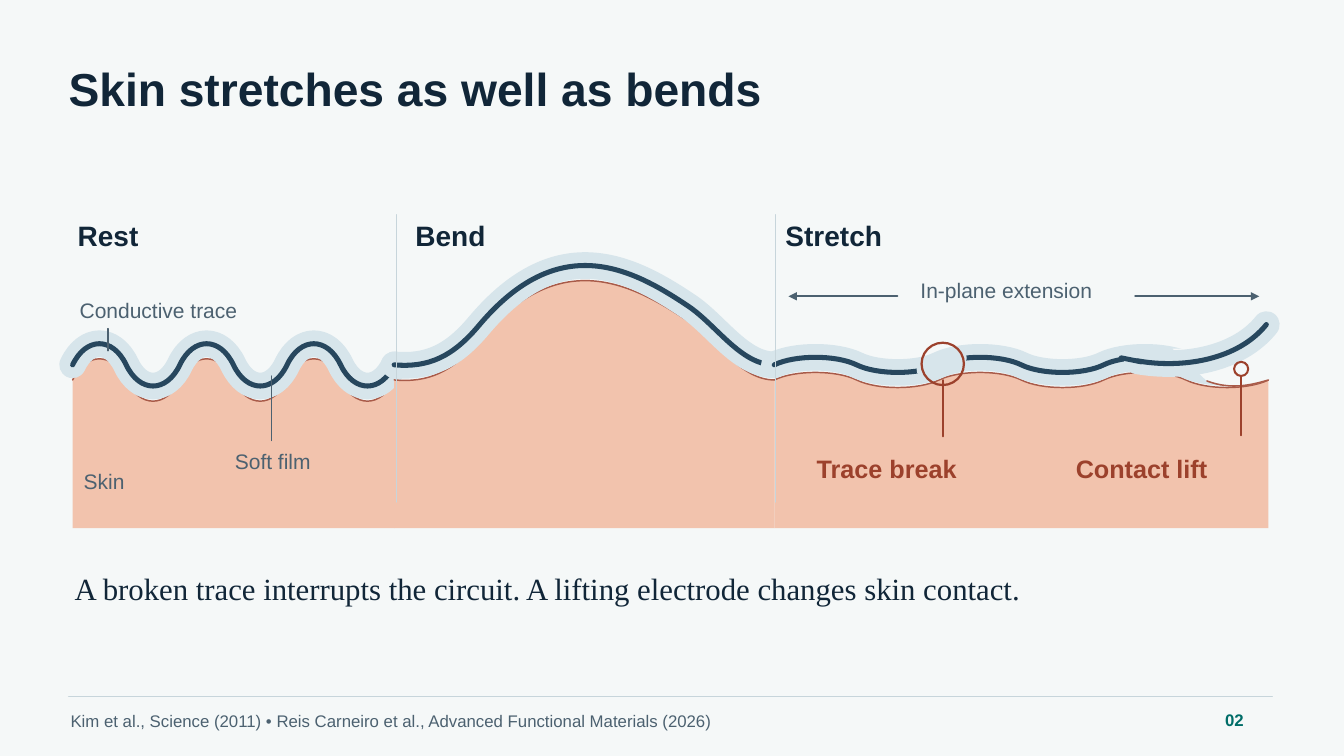
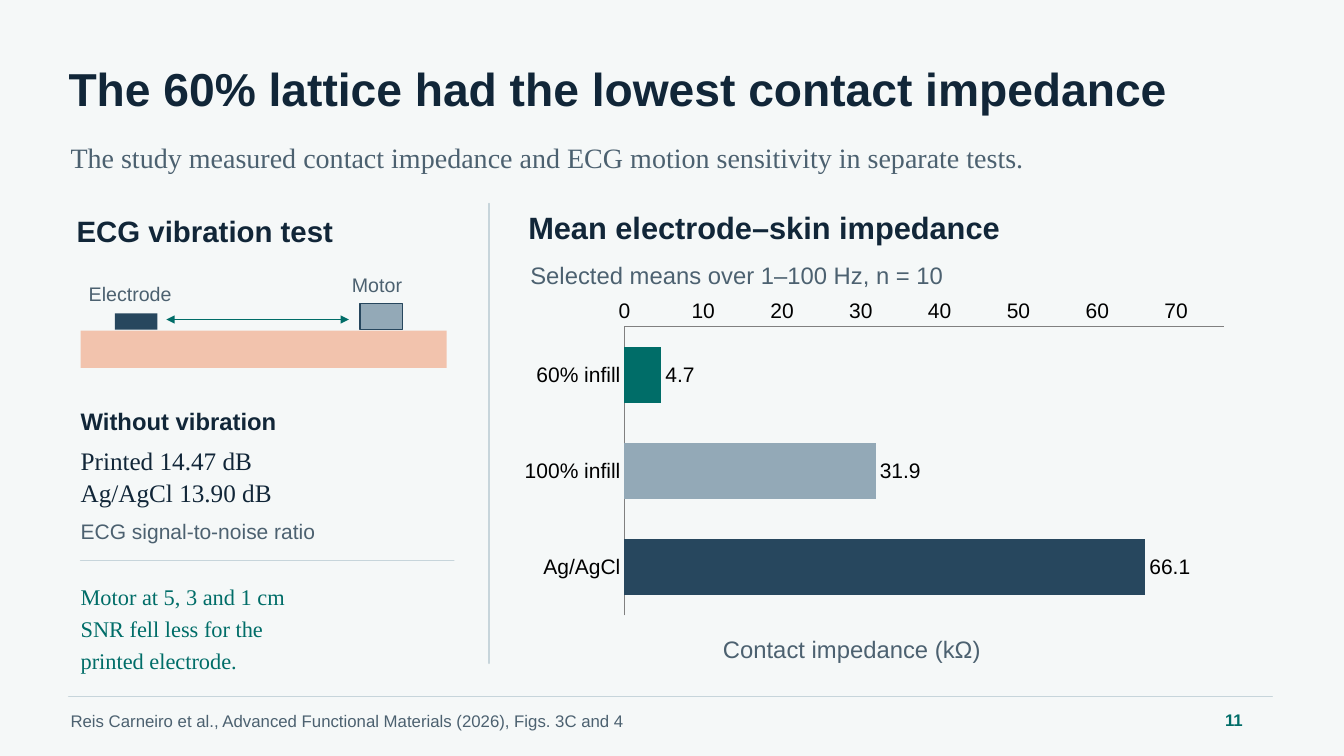
from lxml import etree
from pptx import Presentation
from pptx.chart.data import CategoryChartData
from pptx.dml.color import RGBColor
from pptx.enum.chart import XL_CHART_TYPE, XL_LABEL_POSITION, XL_TICK_MARK
from pptx.enum.shapes import MSO_CONNECTOR, MSO_SHAPE
from pptx.oxml.ns import qn
from pptx.util import Pt

PX = 9144  # 100 px to the inch
BAR = XL_CHART_TYPE.BAR_CLUSTERED
OUTSIDE_END = XL_LABEL_POSITION.OUTSIDE_END
NO_TICK = XL_TICK_MARK.NONE
STRAIGHT = MSO_CONNECTOR.STRAIGHT
RECT, OVAL = MSO_SHAPE.RECTANGLE, MSO_SHAPE.OVAL
SANS, SERIF = "Arial", "Times New Roman"
COLORS = {name: RGBColor.from_string(value) for name, value in {
    "paper": "F5F8F8", "ink": "112638", "muted": "4C6170", "rule": "C7D5DB",
    "teal": "006D68", "skin": "F2C3AD", "skin_edge": "A95B49", "film": "D7E5EB",
    "trace": "27475E", "steel": "93A9B7", "fault": "9C412C", "axis": "808080",
    "black": "000000",
}.items()}


def add_text(slide, x, y, w, text, size, color, bold=False, font=SANS, spacing=None):
    lines = text.split("\n")
    spacing = spacing or round(size * 1.26, 1)
    h = round(len(lines) * spacing / 0.72) + 3
    tf = slide.shapes.add_textbox(x * PX, y * PX, w * PX, h * PX).text_frame
    tf.word_wrap = True
    tf.margin_left = tf.margin_right = tf.margin_top = tf.margin_bottom = 2 * PX
    for i, line in enumerate(lines):
        p = tf.add_paragraph() if i else tf.paragraphs[0]
        p.text = line
        p.line_spacing = Pt(spacing)
        p.font.name, p.font.size, p.font.bold = font, Pt(size), bold
        p.font.color.rgb = COLORS[color]


def add_line(slide, x1, y1, x2, y2, color, width, arrows=()):
    line = slide.shapes.add_connector(STRAIGHT, x1 * PX, y1 * PX, x2 * PX, y2 * PX)
    line.line.color.rgb = COLORS[color]
    line.line.width = Pt(width)
    ln = line.line._get_or_add_ln()
    ln.set("cap", "rnd")
    for end in arrows:
        etree.SubElement(ln, qn(f"a:{end}"), type="triangle")
    etree.SubElement(line._element.spPr, qn("a:effectLst"))


prs = Presentation()
prs.slide_width, prs.slide_height = 1333 * PX, 750 * PX
fill = prs.slide_master.background.fill
fill.solid()
fill.fore_color.rgb = COLORS["paper"]

# Title and footer of every slide
slides = []
for title, source, number in (
    ("Skin stretches as well as bends",
     "Kim et al., Science (2011) • Reis Carneiro et al., Advanced Functional Materials (2026)",
     "02"),
    ("The 60% lattice had the lowest contact impedance",
     "Reis Carneiro et al., Advanced Functional Materials (2026), Figs. 3C and 4",
     "11"),
):
    slide = prs.slides.add_slide(prs.slide_layouts[6])
    add_text(slide, 66, 55, 1202, title, 33, "ink", True)
    add_line(slide, 68, 691, 1262, 691, "rule", 0.85)
    add_text(slide, 68, 702, 1120, source, 12, "muted")
    add_text(slide, 1213, 701, 49, number, 12, "teal", True)
    slides.append(slide)
states, results = slides

# Slide 1: trace curves; a point has 2 numbers, a Bézier segment has 6
BASE, SKIN_DROP, FLOOR = 362, 15, 524
waves = []
for left, right, height in ((72, 391, 28), (768, 1258, 10)):
    step = (right - left) / 6
    wave = [(left, BASE)]
    for i in range(6):
        x, y = left + i * step, BASE + (height if i % 2 else -height)
        wave.append((x + step / 4, y, x + step * 3 / 4, y, x + step, BASE))
    waves.append(wave)
rest, stretch = waves
bend = [(391, BASE), (425, 365, 449, 354, 475, 323),
        (554, 229, 625, 265, 683, 304), (711, 323, 735, 362, 768, BASE)]
lift = [(1128, 358), (1173, 366, 1228, 357, 1256, 322)]
gap = [(1163, 346), (1272, 346), (1272, 376), (1258, 377), (1240, 384, 1214, 386, 1197, 378)]
gap_edge = [(1197, 378), (1221, 387, 1241, 382, 1258, 377)]

# Each outline: points, drop, fill colour, line colour, line width
outlines = []
for curve in (rest, bend, stretch):
    floor = FLOOR - SKIN_DROP
    body = curve + [(curve[-1][-2], floor), (curve[0][0], floor)]
    outlines += [(body, SKIN_DROP, "skin", None, 0),
                 (curve, SKIN_DROP, None, "skin_edge", 1.05),
                 (curve, 0, None, "film", 19),
                 (curve, 0, None, "trace", 3.6)]
outlines += [(gap, 0, "paper", None, 0),
             (gap_edge, 0, None, "skin_edge", 1.1),
             (lift, 0, None, "film", 19),
             (lift, 0, None, "trace", 3.6)]

for points, drop, fill_color, line_color, width in outlines:
    dots = [(round(seg[i] * PX), round((seg[i + 1] + drop) * PX))
            for seg in points for i in range(0, len(seg), 2)]
    builder = states.shapes.build_freeform(*dots[0], scale=1.0)
    builder.add_line_segments(dots[1:], close=fill_color is not None)
    sp = builder.convert_to_shape()
    # Join the three points of each Bézier segment into one curve
    steps = iter(list(sp._element.iter(qn("a:lnTo"))))
    for seg in points[1:]:
        parts = [next(steps) for _ in range(len(seg) // 2)]
        if len(parts) == 3:
            bezier = etree.Element(qn("a:cubicBezTo"))
            parts[0].addprevious(bezier)
            for part in parts:
                bezier.append(part[0])
                part.getparent().remove(part)
    sp.shadow.inherit = False
    if fill_color:
        sp.fill.solid()
        sp.fill.fore_color.rgb = COLORS[fill_color]
        sp.line.fill.background()
    else:
        sp.fill.background()
        sp.line.color.rgb = COLORS[line_color]
        sp.line.width = Pt(width)
        ln = sp.line._get_or_add_ln()
        ln.set("cap", "rnd")
        etree.SubElement(ln, qn("a:round"))

# Slide 1: dividers, leaders, extension arrows, break and lift
for line in (
    (393, 213, 393, 498, "rule", 0.95),
    (769, 213, 769, 498, "rule", 0.95),
    (107, 326, 107, 348, "muted", 1),
    (269, 437, 269, 373, "muted", 1),
    (890, 294, 782, 294, "muted", 1.6, ["tailEnd"]),
    (1126, 294, 1249, 294, "muted", 1.6, ["tailEnd"]),
    (917, 367, 951, 355, "film", 11.3),
    (935, 377, 935, 433, "fault", 1.15),
    (1231, 373, 1231, 432, "fault", 1.15),
    (1112, 355, 1132, 359, "trace", 3.55),
):
    add_line(states, *line)
for x, y, size, width in ((914, 340, 42, 1.6), (1224, 359, 14, 1.45)):
    sp = states.shapes.add_shape(OVAL, x * PX, y * PX, size * PX, size * PX)
    sp.shadow.inherit = False
    sp.fill.background()
    sp.line.color.rgb = COLORS["fault"]
    sp.line.width = Pt(width)

# Slide 1: labels and conclusion
for x, text in ((75, "Rest"), (410, "Bend"), (777, "Stretch")):
    add_text(states, x, 213, 220, text, 20, "ink", True)
for x, y, text in ((77, 292, "Conductive trace"), (231, 442, "Soft film"),
                   (81, 462, "Skin"), (911, 272, "In-plane extension")):
    add_text(states, x, y, 260, text, 15, "muted")
for x, text in ((808, "Trace break"), (1065, "Contact lift")):
    add_text(states, x, 446, 204, text, 18, "fault", True)
add_text(states, 72, 561, 1182,
         "A broken trace interrupts the circuit. A lifting electrode changes skin contact.",
         22, "ink", font=SERIF)

# Slide 2: subtitle and rules
add_text(results, 68, 136, 1200,
         "The study measured contact impedance and ECG motion sensitivity in separate tests.",
         20, "muted", font=SERIF)
add_line(results, 485, 202, 485, 658, "rule", 1.2)
add_line(results, 80, 556, 450, 556, "rule", 1.2)

# Slide 2: vibration test
add_text(results, 74, 208, 391, "ECG vibration test", 21, "ink", True)
for x, y, w, h, color, edge in ((80, 328, 363, 37, "skin", None),
                                (114, 311, 42, 16, "trace", None),
                                (357, 301, 42, 26, "steel", "trace")):
    sp = results.shapes.add_shape(RECT, x * PX, y * PX, w * PX, h * PX)
    sp.shadow.inherit = False
    sp.fill.solid()
    sp.fill.fore_color.rgb = COLORS[color]
    if edge:
        sp.line.color.rgb = COLORS[edge]
        sp.line.width = Pt(1.05)
    else:
        sp.line.fill.background()
add_line(results, 165, 317, 346, 317, "teal", 1.3, ["headEnd", "tailEnd"])
add_text(results, 86, 277, 150, "Electrode", 14, "muted")
add_text(results, 347, 268, 112, "Motor", 14, "muted")
add_text(results, 78, 400, 384, "Without vibration", 17, "ink", True)
add_text(results, 78, 438, 386, "Printed 14.47 dB\nAg/AgCl 13.90 dB", 18, "ink", font=SERIF)
add_text(results, 78, 511, 375, "ECG signal-to-noise ratio", 15, "muted")
add_text(results, 78, 572, 393,
         "Motor at 5, 3 and 1 cm\nSNR fell less for the\nprinted electrode.",
         16, "teal", font=SERIF, spacing=22.7)

# Slide 2: impedance chart
add_text(results, 522, 203, 716, "Mean electrode–skin impedance", 22, "ink", True)
add_text(results, 524, 255, 690, "Selected means over 1–100 Hz, n = 10", 17, "muted")
data = CategoryChartData()
data.categories = ["60% infill", "100% infill", "Ag/AgCl"]
data.add_series("Contact impedance (kΩ)", (4.7, 31.9, 66.1))
chart = results.shapes.add_chart(BAR, 506 * PX, 291 * PX, 722 * PX, 326 * PX, data).chart
chart.has_legend = chart.has_title = False
chart.font.name, chart.font.size = SANS, Pt(15)
chart.font.color.rgb = COLORS["black"]
for axis in (chart.category_axis, chart.value_axis):
    axis.has_major_gridlines = False
    axis.major_tick_mark = axis.minor_tick_mark = NO_TICK
    axis.format.line.color.rgb = COLORS["axis"]
    axis.format.line.width = Pt(0.75)
chart.category_axis.reverse_order = True
axis = chart.value_axis
axis.minimum_scale, axis.maximum_scale, axis.major_unit = 0, 76.02, 10
axis.tick_labels.number_format = "0"
axis.tick_labels.number_format_is_linked = False
plot = chart.plots[0]
plot.gap_width = 70
plot.vary_by_categories = False
plot.has_data_labels = True
labels = plot.data_labels
labels.show_value = True
labels.position = OUTSIDE_END
labels.number_format = "0.0"
labels.number_format_is_linked = False
for i, color in enumerate(("teal", "steel", "trace")):
    fill = plot.series[0].points[i].format.fill
    fill.solid()
    fill.fore_color.rgb = COLORS[color]
add_text(results, 715, 626, 508, "Contact impedance (kΩ)", 17, "muted")

prs.save("out.pptx")
